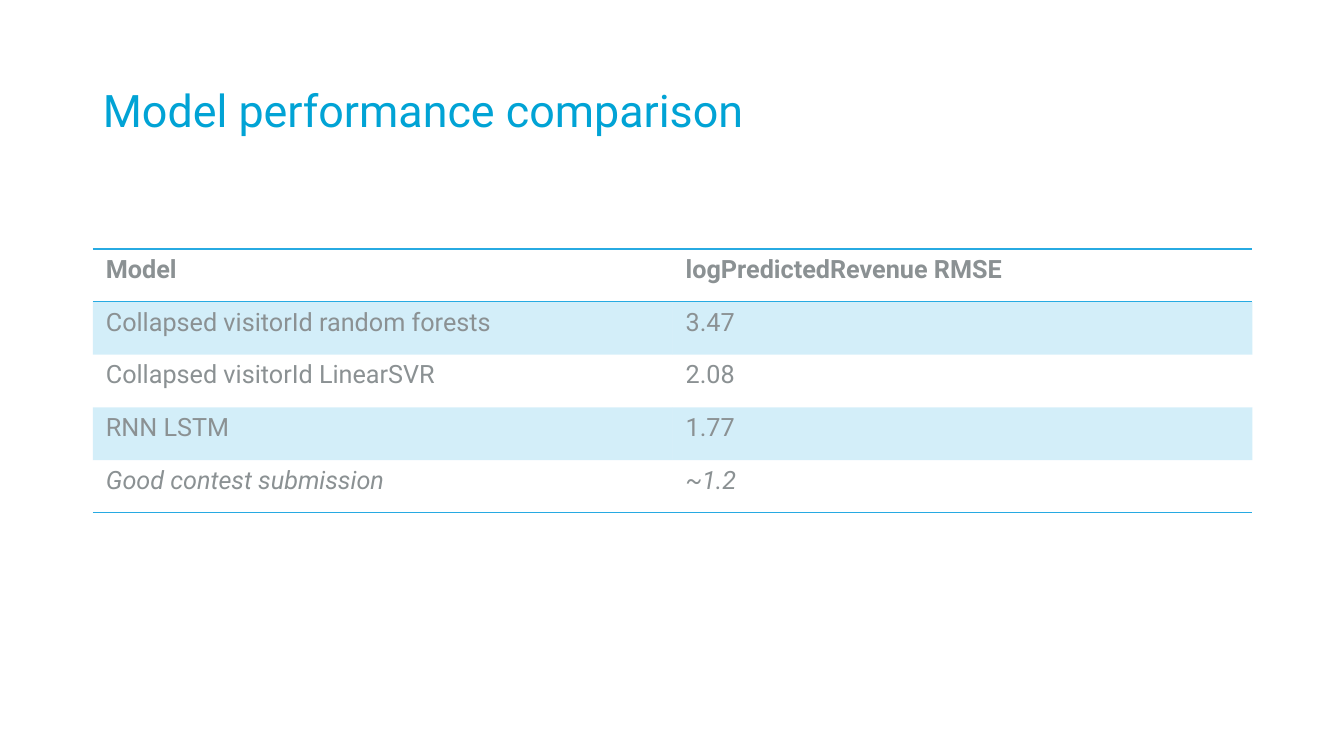
"""Build the slide that compares model performance."""
from lxml.etree import SubElement
from pptx import Presentation
from pptx.dml.color import RGBColor
from pptx.enum.text import MSO_ANCHOR as Anchor, PP_ALIGN as Align
from pptx.oxml.ns import qn
from pptx.util import Inches, Pt

TITLE_BLUE = RGBColor(0x01, 0xA3, 0xD5)
RULE_BLUE = RGBColor(0x27, 0xAA, 0xE2)
TEXT_GRAY = RGBColor(0x8B, 0x91, 0x93)
FONT = "Roboto"
PLAIN_STYLE = "{2D5ABB26-0587-4C30-8999-92F81FD0307C}"
LEFT, WIDTH = Inches(0.92), Inches(11.5)

SCORES = [
    ("Model", "logPredictedRevenue RMSE"),
    ("Collapsed visitorId random forests", "3.47"),
    ("Collapsed visitorId LinearSVR", "2.08"),
    ("RNN LSTM", "1.77"),
    ("Good contest submission", "~1.2"),
]
CELL_MARGINS = {
    "margin_left": Inches(0.13),
    "margin_right": Inches(0.13),
    "margin_top": Inches(0.06),
    "margin_bottom": Inches(0.06),
}


def apply(target, formats):
    """Set each attribute named in formats on target."""
    for name, value in formats.items():
        setattr(target, name, value)


def write(paragraph, text, color, **formats):
    """Write one formatted run into a paragraph."""
    run = paragraph.add_run()
    run.text = text
    apply(run.font, {"name": FONT, **formats})
    run.font.color.rgb = color


def add_title(slide, text):
    """Place and format the slide title."""
    title = slide.shapes.title
    apply(title, {"left": LEFT, "top": Inches(0.4),
                  "width": WIDTH, "height": Inches(1.45)})
    title.text_frame.vertical_anchor = Anchor.MIDDLE
    heading = title.text_frame.paragraphs[0]
    apply(heading, {"alignment": Align.LEFT, "line_spacing": 0.9})
    write(heading, text, TITLE_BLUE, size=Pt(32))


def add_rule(cell, side):
    """Draw a one-point blue border on one side of a cell."""
    properties = cell._tc.get_or_add_tcPr()
    line = SubElement(properties, qn(f"a:{side}"), w=str(Pt(1)))
    solid = SubElement(line, qn("a:solidFill"))
    SubElement(solid, qn("a:srgbClr"), val=str(RULE_BLUE))


def fill_band(cell):
    """Fill a cell with the blue at 20 percent opacity."""
    cell.fill.solid()
    cell.fill.fore_color.rgb = RULE_BLUE
    color = cell._tc.tcPr.find(f"{qn('a:solidFill')}/{qn('a:srgbClr')}")
    SubElement(color, qn("a:alpha"), val="20000")


def format_cell(cell, text, row, last):
    """Write a cell and give it the borders and fill of its row."""
    apply(cell, CELL_MARGINS)
    write(cell.text_frame.paragraphs[0], text, TEXT_GRAY,
          size=Pt(18), bold=row == 0, italic=row == last)
    if row == 0:
        add_rule(cell, "lnT")
    if row in (0, last):
        add_rule(cell, "lnB")
    if row % 2:
        fill_band(cell)
    else:
        cell.fill.background()


def add_score_table(slide, scores):
    """Add the table of models and their errors."""
    frame = slide.shapes.add_table(len(scores), len(scores[0]), LEFT,
                                   Inches(2.47), WIDTH, Inches(2.62))
    for style in frame.element.iter(qn("a:tableStyleId")):
        style.text = PLAIN_STYLE
    for row, values in enumerate(scores):
        for column, text in enumerate(values):
            format_cell(frame.table.cell(row, column), text, row,
                        len(scores) - 1)


def main():
    """Build and save the slide."""
    deck = Presentation()
    apply(deck, {"slide_width": Inches(13.33), "slide_height": Inches(7.5)})
    slide = deck.slides.add_slide(deck.slide_layouts[5])
    add_title(slide, "Model performance comparison")
    add_score_table(slide, SCORES)
    deck.save("out.pptx")


if __name__ == "__main__":
    main()
